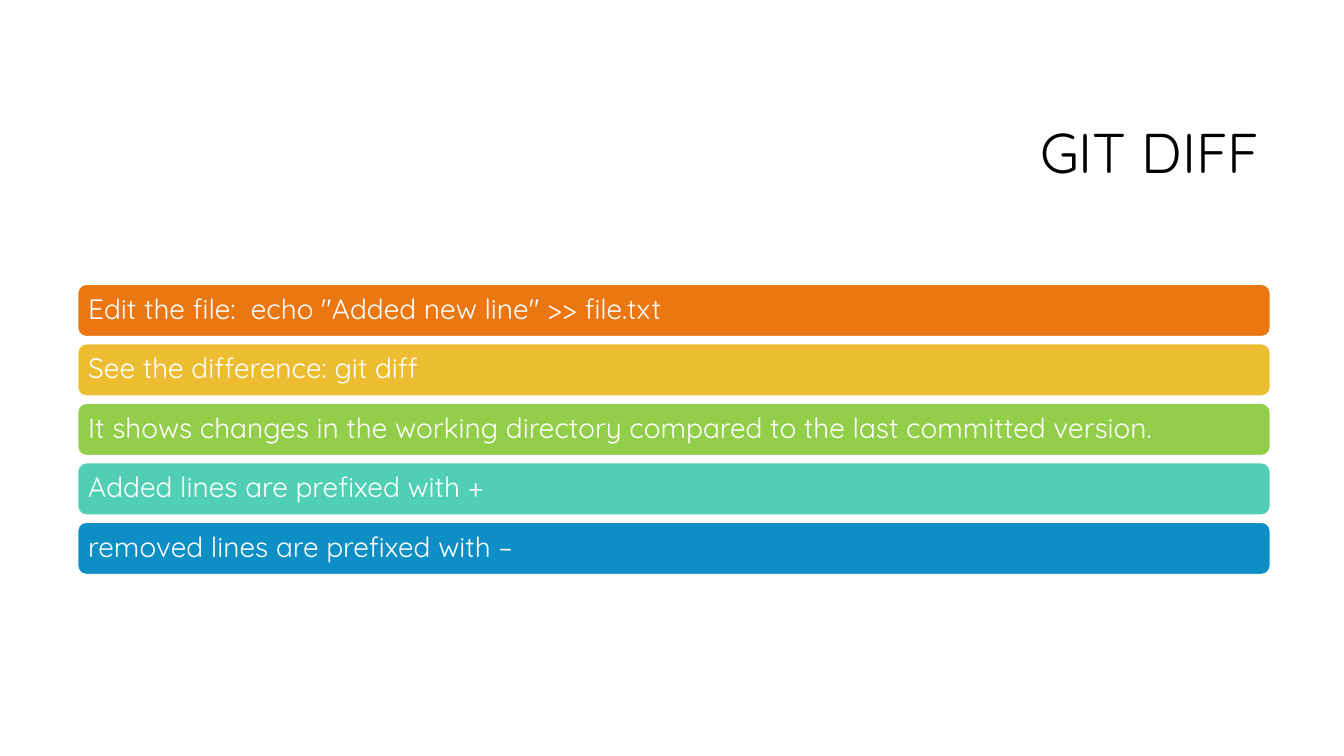
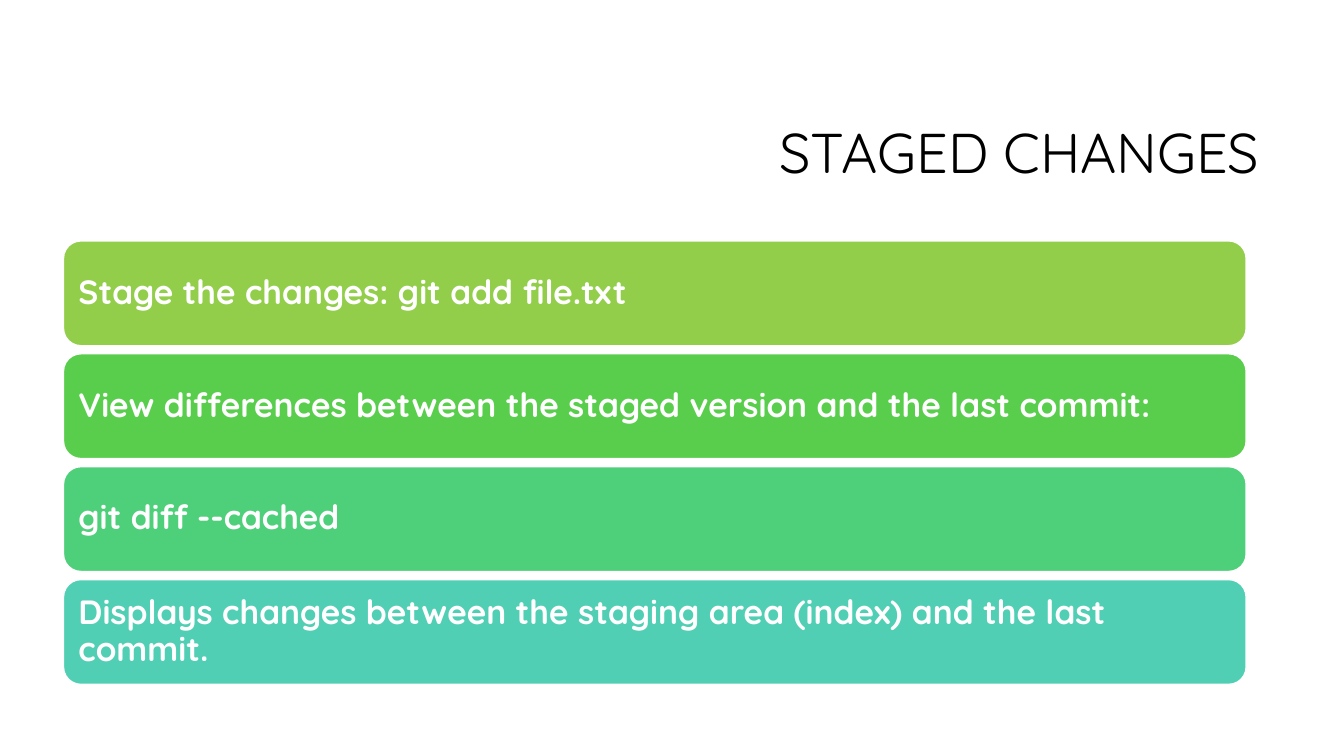
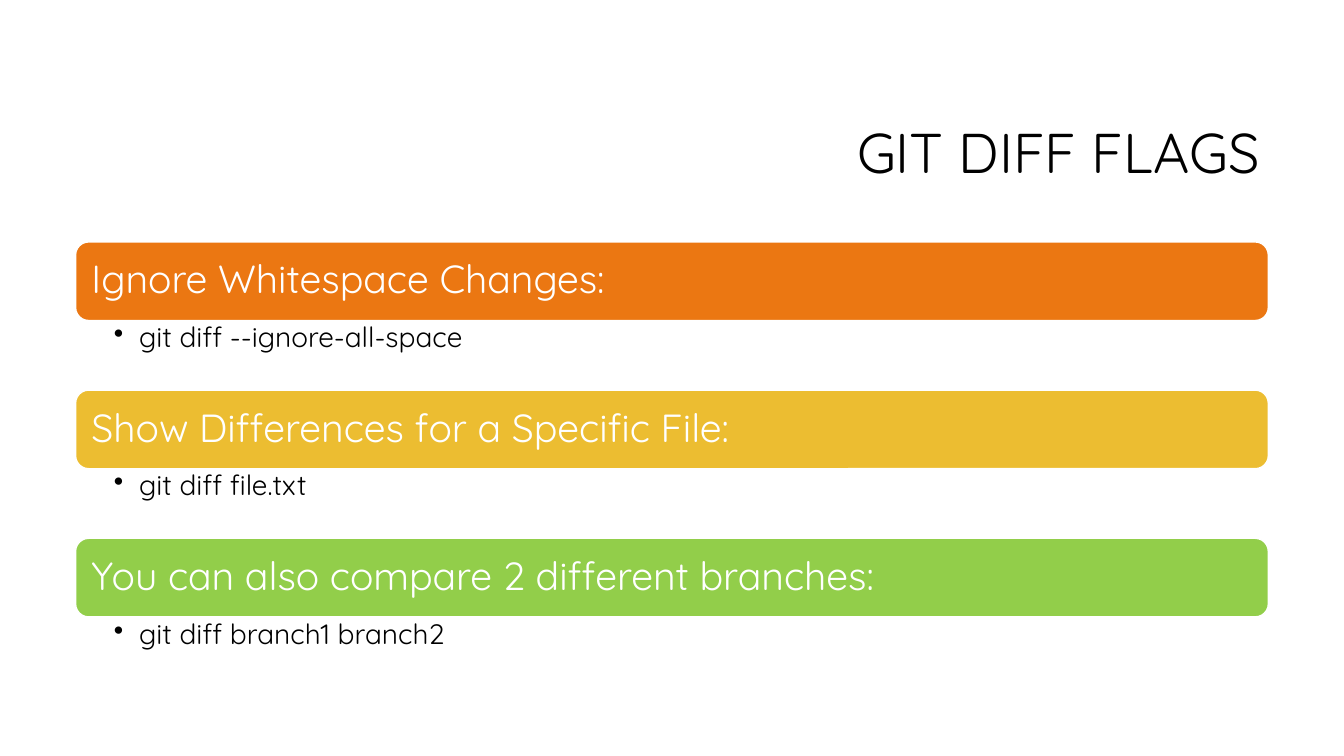
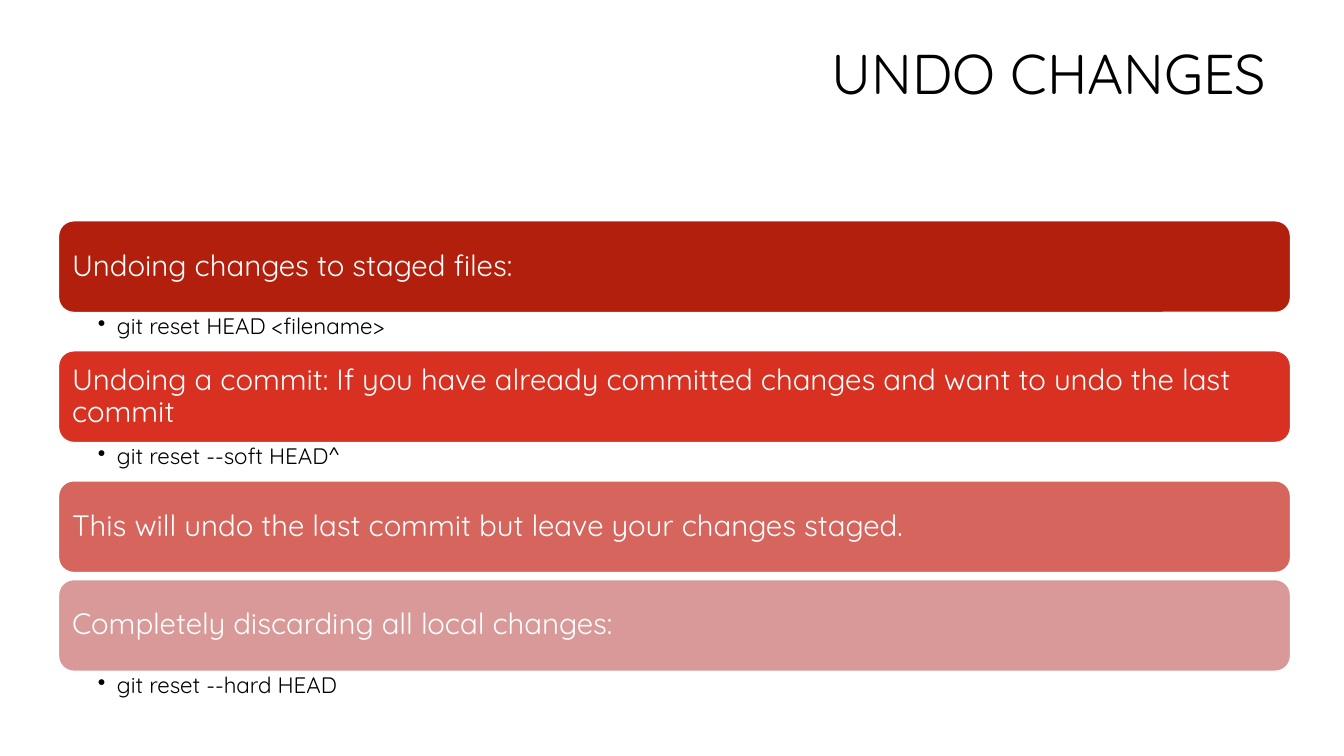
"""Build four slides of coloured bars about git diff and undoing changes."""
import dataclasses
import typing

import lxml.etree
import pptx
import pptx.dml.color
import pptx.enum.shapes
import pptx.enum.text
import pptx.oxml.ns
import pptx.util

Inches = pptx.util.Inches
FONT = "Quicksand"
BLACK, WHITE = "000000", "FFFFFF"
ORANGE, GOLD, LIME = "EB7712", "ECBD31", "92CE4A"
GREEN, MINT, TEAL, BLUE = "59CE4C", "4ECF7A", "50CFB4", "0D8EC5"
BRICK, RED, ROSE, PINK = "B21F0C", "D83121", "D6655E", "D89998"


@dataclasses.dataclass(frozen=True)
class Box:
    left: float
    top: float
    width: float
    height: float


@dataclasses.dataclass(frozen=True)
class Bar:
    text: str
    fill: str
    note: str = ""


@dataclasses.dataclass(frozen=True)
class Style:
    first: Box
    pad: float
    size: int
    gap: float = 0.07
    bold: bool = False
    drop: float = 0
    inset: float = 0
    indent: float = 0
    small: int = 0


@dataclasses.dataclass(frozen=True)
class Page:
    title: str
    style: Style
    bars: tuple[Bar, ...]
    head: Box = Box(3.17, 0.84, 9.42, 1.41)


PAGES = (
    Page("GIT DIFF", Style(Box(0.77, 2.82, 11.83, 0.52), 0.08, 20), (
        Bar('Edit the file:  echo "Added new line" >> file.txt', ORANGE),
        Bar("See the difference: git diff", GOLD),
        Bar("It shows changes in the working directory compared to the last "
            "committed version.", LIME),
        Bar("Added lines are prefixed with +", TEAL),
        Bar("removed lines are prefixed with –", BLUE),
    )),
    Page("STAGED CHANGES",
         Style(Box(0.63, 2.39, 11.73, 1.04), 0.1, 24, gap=0.08, bold=True), (
             Bar("Stage the changes: git add file.txt", LIME),
             Bar("View differences between the staged version and the last "
                 "commit:", GREEN),
             Bar("git diff --cached", MINT),
             Bar("Displays changes between the staging area (index) and the "
                 "last commit.", TEAL),
         )),
    Page("GIT DIFF FLAGS",
         Style(Box(0.75, 2.4, 11.83, 0.78), 0.12, 28, drop=0.69,
               inset=0.38, indent=0.25, small=20), (
             Bar("Ignore Whitespace Changes:", ORANGE,
                 "git diff --ignore-all-space"),
             Bar("Show Differences for a Specific File:", GOLD,
                 "git diff file.txt"),
             Bar("You can also compare 2 different branches:", LIME,
                 "git diff branch1 branch2"),
         )),
    Page("UNDO CHANGES",
         Style(Box(0.58, 2.19, 12.22, 0.91), 0.09, 21, drop=0.38,
               inset=0.39, indent=0.19, small=16), (
             Bar("Undoing changes to staged files:", BRICK,
                 "git reset HEAD <filename>"),
             Bar("Undoing a commit: If you have already committed changes "
                 "and want to undo the last commit", RED,
                 "git reset --soft HEAD^"),
             Bar("This will undo the last commit but leave your changes "
                 "staged.", ROSE),
             Bar("Completely discarding all local changes:", PINK,
                 "git reset --hard HEAD"),
         ), Box(2.36, 0.29, 10.3, 0.94)),
)


def shade(code: str) -> pptx.dml.color.RGBColor:
    """Turn a hex string into a colour."""
    return pptx.dml.color.RGBColor.from_string(code)


def place(box: Box) -> tuple[int, int, int, int]:
    """Give the box in slide units."""
    return (Inches(box.left), Inches(box.top),
            Inches(box.width), Inches(box.height))


def write(shape: typing.Any, text: str, size: int, tint: str,
          pads: tuple[float, float, float, float], bold: bool = False,
          right: bool = False, middle: bool = True) -> typing.Any:
    """Put one styled paragraph in the shape and return it."""
    frame = shape.text_frame
    frame.word_wrap = True
    anchor = pptx.enum.text.MSO_ANCHOR
    frame.vertical_anchor = anchor.MIDDLE if middle else anchor.TOP
    frame.margin_left, frame.margin_top, frame.margin_right, frame.margin_bottom = (
        Inches(pad) for pad in pads)
    para = frame.paragraphs[0]
    align = pptx.enum.text.PP_ALIGN
    para.alignment = align.RIGHT if right else align.LEFT
    para.line_spacing = 0.9
    run = para.add_run()
    run.text = text
    run.font.name = FONT
    run.font.size = pptx.util.Pt(size)
    run.font.bold = bold
    run.font.color.rgb = shade(tint)
    return para


def draw_bar(slide: typing.Any, box: Box, bar: Bar, style: Style) -> None:
    """Draw one rounded bar with its text."""
    kind = pptx.enum.shapes.MSO_SHAPE.ROUNDED_RECTANGLE
    shape = slide.shapes.add_shape(kind, *place(box))
    shape.shadow.inherit = False
    shape.fill.solid()
    shape.fill.fore_color.rgb = shade(bar.fill)
    shape.line.color.rgb = shade(WHITE)
    shape.line.width = pptx.util.Pt(1)
    write(shape, bar.text, style.size, WHITE, (style.pad,) * 4, style.bold)


def draw_note(slide: typing.Any, box: Box, text: str, style: Style) -> None:
    """Draw one bulleted line under a bar."""
    shape = slide.shapes.add_textbox(*place(box))
    para = write(shape, text, style.small, BLACK,
                 (style.inset, 0.03, 0.16, 0.03), middle=False)
    props = para._p.get_or_add_pPr()
    props.set("marL", str(Inches(style.indent)))
    props.set("indent", str(-Inches(style.indent)))
    mark = lxml.etree.SubElement(props, pptx.oxml.ns.qn("a:buChar"))
    mark.set("char", "•")


def draw_page(slide: typing.Any, page: Page) -> None:
    """Draw the title, then stack the bars and their notes."""
    title = slide.shapes.add_textbox(*place(page.head))
    write(title, page.title, 40, BLACK, (0.1, 0.05, 0.1, 0.05), right=True)
    style = page.style
    box = style.first
    for bar in page.bars:
        draw_bar(slide, box, bar, style)
        below = box.top + box.height
        if bar.note:
            under = dataclasses.replace(box, top=below, height=style.drop)
            draw_note(slide, under, bar.note, style)
        step = style.drop if bar.note else style.gap
        box = dataclasses.replace(box, top=below + step)


def main() -> None:
    """Build and save the deck."""
    deck = pptx.Presentation()
    deck.slide_width, deck.slide_height = Inches(13.33), Inches(7.5)
    for page in PAGES:
        draw_page(deck.slides.add_slide(deck.slide_layouts[6]), page)
    deck.save("out.pptx")


if __name__ == "__main__":
    main()
